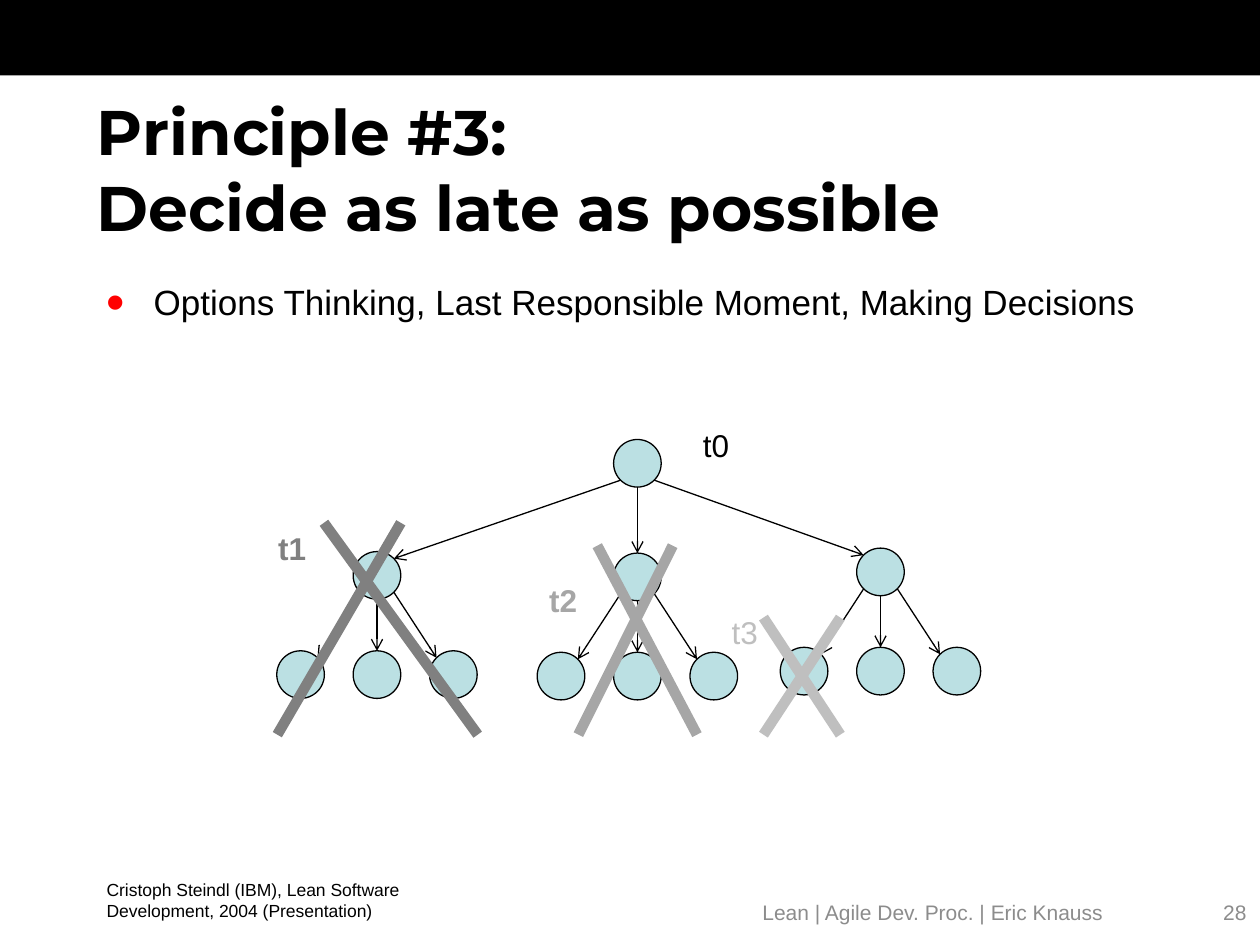
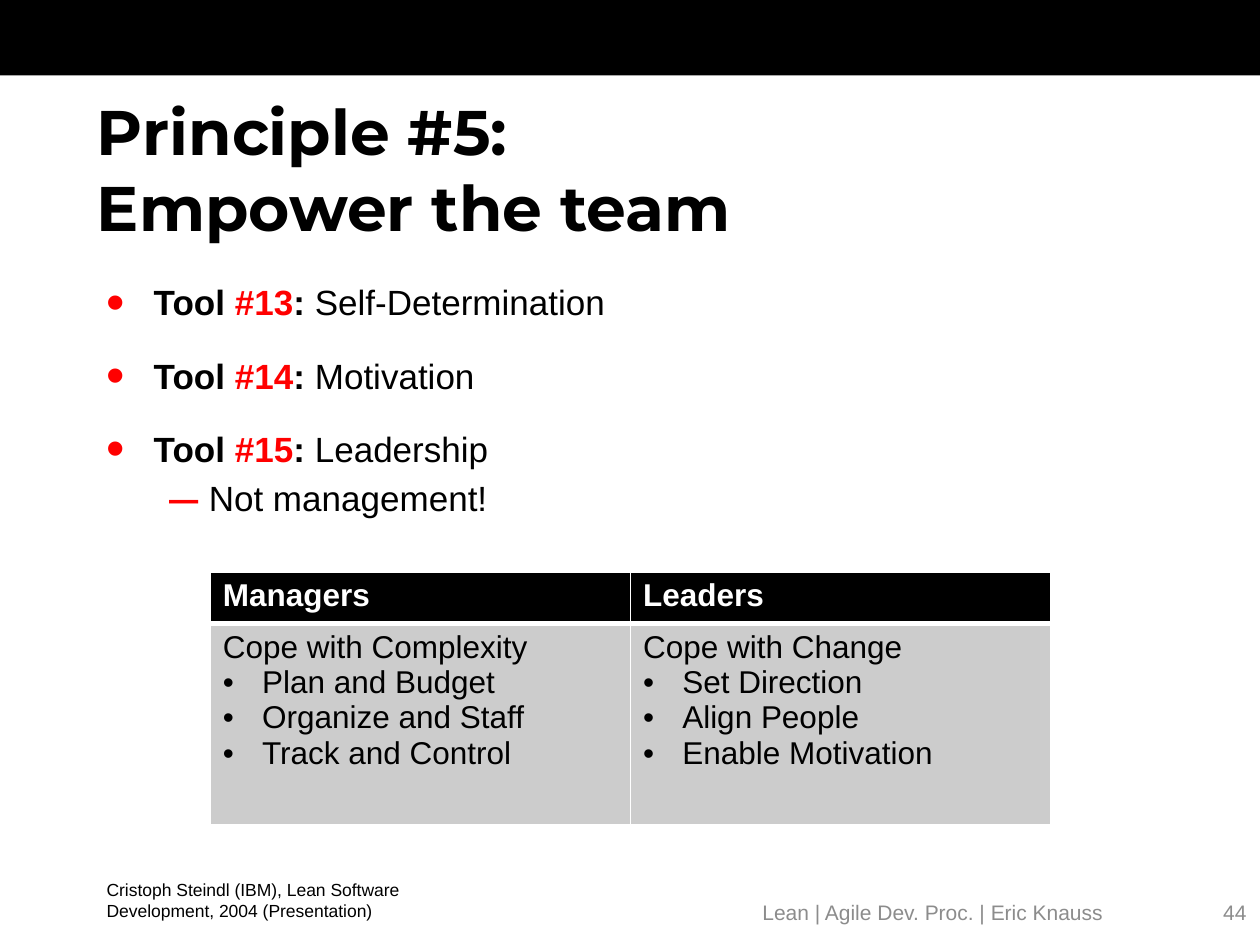
from itertools import product

from lxml.etree import SubElement
from pptx import Presentation
from pptx.dml.color import RGBColor
from pptx.enum.shapes import MSO_CONNECTOR, MSO_SHAPE
from pptx.enum.text import MSO_ANCHOR, MSO_AUTO_SIZE, PP_ALIGN
from pptx.oxml.ns import qn
from pptx.util import Cm, Pt

# Shared look
BLACK, WHITE, RED = "000000", "FFFFFF", "FF0000"
FOOTER_GRAY, CELL_GRAY, NODE_BLUE = "8C8C8C", "CCCCCC", "BBE0E3"
TITLE = {"name": "Montserrat", "size": Pt(36), "bold": True, "color": BLACK}
BODY = {"name": "Arial", "size": Pt(20), "bold": False, "color": BLACK}
LABEL = {**BODY, "size": Pt(18)}
SOURCE = {**BODY, "size": Pt(10)}
FOOTER = {**BODY, "size": Pt(12), "color": FOOTER_GRAY}

# Bullets: left margin and hanging indent in cm
MAIN_BULLET = {"char": "•", "margin": 0.95, "hang": 0.95, "color": RED, "percent": 150}
SUB_BULLET = {**MAIN_BULLET, "char": "–", "margin": 2.06, "hang": 0.79}
CELL_BULLET = {"char": "•", "margin": 0.79, "hang": 0.79, "color": BLACK, "percent": 100}

# Decision tree, in cm
NODE_SIZE = 0.96
RIM = 0.34  # offset of the diagonal points on a node's outline
ROOT = (12.85, 9.34)
BRANCHES = [(7.6, 11.6), (12.85, 11.63), (17.75, 11.53)]
LEAF_STEP, LEAF_DROP = 1.54, 2.0


def rgb(hex_color):
    return RGBColor.from_string(hex_color)


def apply_format(font, values):
    for attribute, value in values.items():
        if attribute == "color":
            font.color.rgb = rgb(value)
        else:
            setattr(font, attribute, value)


def add_bullet(paragraph, bullet):
    properties = paragraph._p.get_or_add_pPr()
    properties.set("marL", str(Cm(bullet["margin"])))
    properties.set("indent", str(-Cm(bullet["hang"])))
    color = SubElement(properties, qn("a:buClr"))
    SubElement(color, qn("a:srgbClr"), val=bullet["color"])
    SubElement(properties, qn("a:buSzPct"), val=str(bullet["percent"] * 1000))
    SubElement(properties, qn("a:buFont"), typeface="Arial")
    SubElement(properties, qn("a:buChar"), char=bullet["char"])


def write_paragraph(paragraph, runs, base, bullet=None, align=PP_ALIGN.LEFT, before=0):
    """Each run is a text and the format values that differ from the base."""
    if bullet:
        add_bullet(paragraph, bullet)
    paragraph.alignment = align
    paragraph.space_before = Pt(before)
    for text, changes in runs:
        run = paragraph.add_run()
        run.text = text
        apply_format(run.font, {**base, **changes})


def next_paragraph(frame, index):
    return frame.add_paragraph() if index else frame.paragraphs[0]


def add_text(slide, box, text="", base=BODY, align=PP_ALIGN.LEFT, anchor=MSO_ANCHOR.TOP):
    frame = slide.shapes.add_textbox(*map(Cm, box)).text_frame
    frame.word_wrap = True
    frame.vertical_anchor = anchor
    if text:
        write_paragraph(frame.paragraphs[0], [(text, {})], base, align=align)
    return frame


def add_bullets(slide, items):
    """Each item is its runs, its bullet and the space before it in points."""
    frame = add_text(slide, (1.9, 5.54, 21.59, 12.3))
    for index, (runs, bullet, before) in enumerate(items):
        write_paragraph(next_paragraph(frame, index), runs, BODY, bullet, before=before)


def add_filled(slide, kind, box, fill, outline=None):
    shape = slide.shapes.add_shape(kind, *map(Cm, box))
    shape.shadow.inherit = False
    shape.fill.solid()
    shape.fill.fore_color.rgb = rgb(fill)
    if outline:
        shape.line.color.rgb = rgb(outline)
        shape.line.width = Pt(0.75)
    else:
        shape.line.fill.background()


def add_line(slide, start, end, color=BLACK, width=0.75, arrow=False):
    line = slide.shapes.add_connector(MSO_CONNECTOR.STRAIGHT, *map(Cm, (*start, *end)))
    line.line.color.rgb = rgb(color)
    line.line.width = Pt(width)
    if arrow:
        SubElement(line.line._get_or_add_ln(), qn("a:tailEnd"), type="arrow")
    SubElement(line._element.spPr, qn("a:effectLst"))


def add_framed_slide(deck, title, number):
    slide = deck.slides.add_slide(deck.slide_layouts[5])
    add_filled(slide, MSO_SHAPE.RECTANGLE, (0, 0, 25.4, 1.52), BLACK)

    # Title
    heading = slide.shapes.title
    place = {"left": 1.7, "top": 2.34, "width": 23.7, "height": 2.11}
    for side, length in place.items():
        setattr(heading, side, Cm(length))
    frame = heading.text_frame
    frame.auto_size = MSO_AUTO_SIZE.NONE
    frame.vertical_anchor = MSO_ANCHOR.MIDDLE
    paragraph = frame.paragraphs[0]
    paragraph.text = title
    paragraph.alignment = PP_ALIGN.LEFT
    for run in paragraph.runs:
        apply_format(run.font, TITLE)

    # Source and footer
    add_text(slide, (1.9, 17.6, 8.56, 1.12),
             "Cristoph Steindl (IBM), Lean Software Development, 2004 (Presentation)", SOURCE)
    add_text(slide, (14.78, 17.88, 8.05, 1.02), "Lean | Agile Dev. Proc. | Eric Knauss",
             FOOTER, PP_ALIGN.CENTER, MSO_ANCHOR.MIDDLE)
    add_text(slide, (23.04, 17.88, 2.34, 1.02), number,
             FOOTER, PP_ALIGN.RIGHT, MSO_ANCHOR.MIDDLE)
    return slide


def add_node(slide, center):
    x, y = center
    box = (x - NODE_SIZE / 2, y - NODE_SIZE / 2, NODE_SIZE, NODE_SIZE)
    add_filled(slide, MSO_SHAPE.OVAL, box, NODE_BLUE, BLACK)


def add_edge(slide, parent, child):
    """Arrow between outlines: straight down, or between diagonal points."""
    (x1, y1), (x2, y2) = parent, child
    side = (x2 > x1) - (x2 < x1)
    dx, dy = side * RIM, RIM if side else NODE_SIZE / 2
    add_line(slide, (x1 + dx, y1 + dy), (x2 - dx, y2 - dy), arrow=True)


def add_decision_tree(slide):
    edges = [(ROOT, branch) for branch in BRANCHES]
    edges += [((x, y), (x + step * LEAF_STEP, y + LEAF_DROP))
              for (x, y), step in product(BRANCHES, (-1, 0, 1))]
    for node in [ROOT] + [child for _, child in edges]:
        add_node(slide, node)
    for parent, child in edges:
        add_edge(slide, parent, child)


def add_cross(slide, top_xs, bottom_xs, top, color):
    bottom = 14.81
    for top_x, bottom_x in zip(top_xs, reversed(bottom_xs)):
        add_line(slide, (top_x, top), (bottom_x, bottom), color, 6)


def add_borders(cell, bottom_width):
    properties = cell._tc.get_or_add_tcPr()
    for side, width in (("L", 1), ("R", 1), ("T", 1), ("B", bottom_width)):
        border = SubElement(properties, qn(f"a:ln{side}"), w=str(Pt(width)))
        fill = SubElement(border, qn("a:solidFill"))
        SubElement(fill, qn("a:srgbClr"), val=WHITE)


def fill_cell(cell, lines, base, fill, bottom_width):
    add_borders(cell, bottom_width)
    cell.fill.solid()
    cell.fill.fore_color.rgb = rgb(fill)
    for index, line in enumerate(lines):
        write_paragraph(next_paragraph(cell.text_frame, index), [(line, {})], base,
                        CELL_BULLET if index else None)


def add_role_table(slide, roles):
    table = slide.shapes.add_table(2, len(roles), *map(Cm, (4.24, 11.53, 16.94, 5.1))).table
    table.rows[0].height, table.rows[1].height = Cm(1.04), Cm(4.06)
    header = {**LABEL, "bold": True, "color": WHITE}
    for column, (role, duties) in enumerate(roles.items()):
        fill_cell(table.cell(0, column), [role], header, BLACK, 3)
        fill_cell(table.cell(1, column), duties, LABEL, CELL_GRAY, 1)


def build_decide_late(deck):
    slide = add_framed_slide(deck, "Principle #3: \vDecide as late as possible", "28")
    topics = "Options Thinking, Last Responsible Moment, Making Decisions"
    add_bullets(slide, [([(topics, {})], MAIN_BULLET, 0)])
    add_decision_tree(slide)

    # Moments in time
    moments = [("t0", 13.92, 8.46, BLACK, False), ("t1", 5.36, 10.54, "808080", True),
               ("t2", 10.82, 11.58, "A6A6A6", True), ("t3", 14.5, 12.24, "BFBFBF", False)]
    for name, left, top, color, bold in moments:
        add_text(slide, (left, top, 1.25, 1.02), name,
                 {**LABEL, "color": color, "bold": bold})

    # Options ruled out at t1, t2 and t3
    add_cross(slide, (6.53, 8.08), (5.59, 9.63), 10.54, "808080")
    add_cross(slide, (12.04, 13.56), (11.66, 14.05), 11.0, "A6A6A6")
    add_cross(slide, (15.39, 16.94), (15.39, 16.94), 12.45, "BFBFBF")


def build_empower_team(deck):
    slide = add_framed_slide(deck, "Principle #5: \vEmpower the team", "44")
    bold = {"bold": True}
    tools = [("#13", "Self-Determination"), ("#14", "Motivation"), ("#15", "Leadership")]
    items = [([("Tool ", bold), (number, {**bold, "color": RED}), (": ", bold), (name, {})],
              MAIN_BULLET, 17.8 if index else 0)
             for index, (number, name) in enumerate(tools)]
    items.append(([("Not management!", {})], SUB_BULLET, 4))
    add_bullets(slide, items)
    add_role_table(slide, {
        "Managers": ["Cope with Complexity", "Plan and Budget",
                     "Organize and Staff", "Track and Control"],
        "Leaders": ["Cope with Change", "Set Direction",
                    "Align People", "Enable Motivation"],
    })


def main():
    deck = Presentation()
    deck.slide_width, deck.slide_height = Cm(25.4), Cm(19.05)
    build_decide_late(deck)
    build_empower_team(deck)
    deck.save("out.pptx")


if __name__ == "__main__":
    main()
